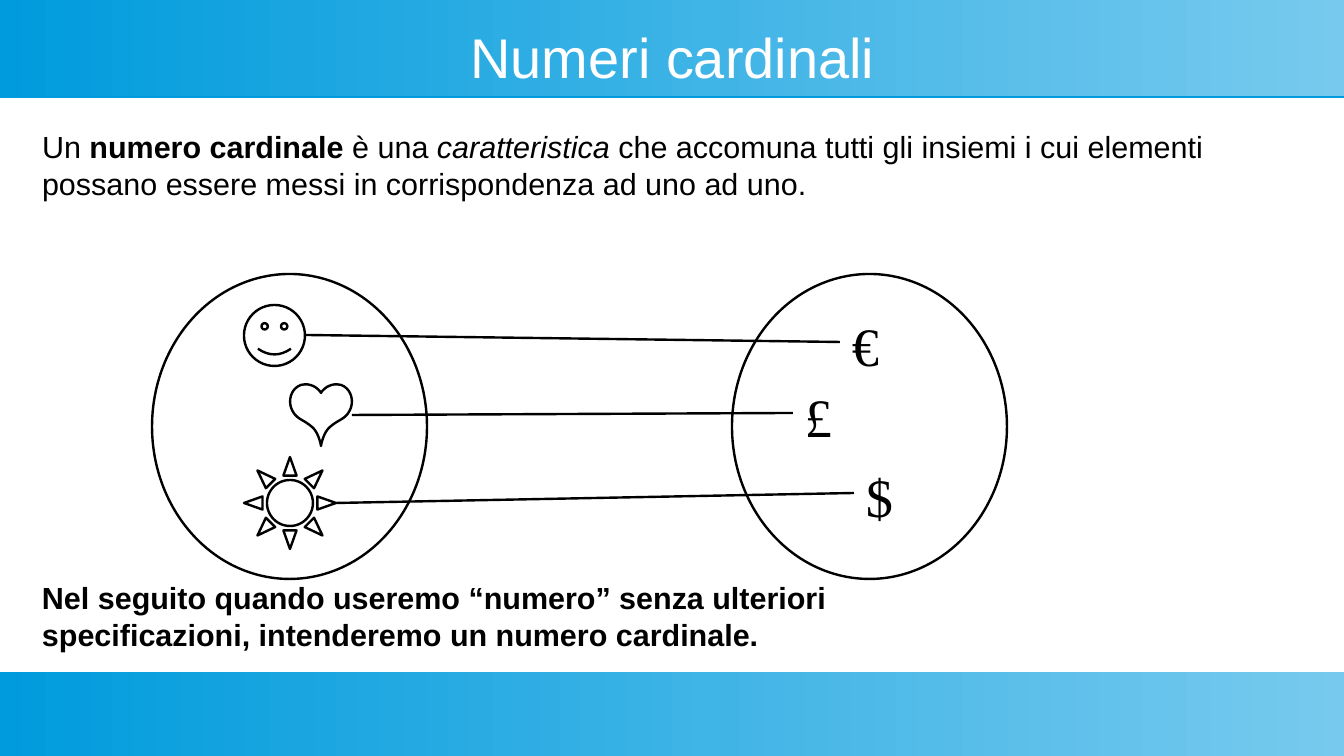
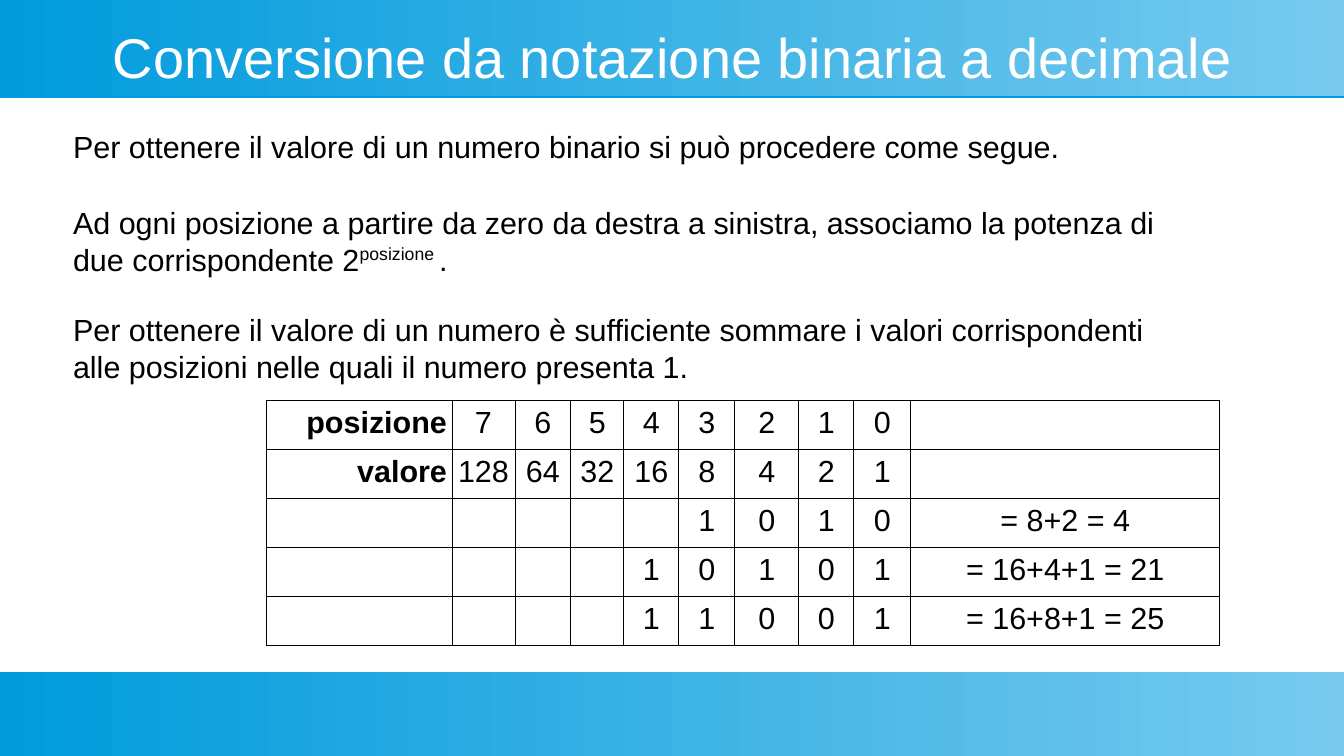
import pptx
import pptx.dml.color
import pptx.enum.shapes
import pptx.enum.text
import pptx.oxml
import pptx.oxml.ns
import pptx.util
from lxml import etree

SHAPE = pptx.enum.shapes.MSO_SHAPE
ALIGN = pptx.enum.text.PP_ALIGN
ANCHOR = pptx.enum.text.MSO_ANCHOR
qn = pptx.oxml.ns.qn

BLACK, WHITE = "000000", "FFFFFF"
BLUE, LIGHT_BLUE = "009BDD", "77CAEE"
WIDTH, HEIGHT = 1344, 756


def px(n):
    return pptx.util.Emu(round(n * 914400 / 122))


def box(*lengths):
    return [px(n) for n in lengths]


def rgb(value):
    return pptx.dml.color.RGBColor.from_string(value)


def bezier(p0, p1, p2, p3, steps=10):
    for i in range(1, steps + 1):
        t = i / steps
        u = 1 - t
        yield tuple(u**3 * a + 3 * u * u * t * b + 3 * u * t * t * c + t**3 * d
                    for a, b, c, d in zip(p0, p1, p2, p3))


class Deck:
    font = "Arial"
    text_size = 18
    title_size = 33
    line_width = 1.42

    def __init__(self):
        self.prs = pptx.Presentation()
        self.prs.slide_width, self.prs.slide_height = box(WIDTH, HEIGHT)
        self.s = None

    def slide(self, title):
        self.s = self.prs.slides.add_slide(self.prs.slide_layouts[5])
        self.band(0, 96)
        self.band(672, 84)
        sp = self.s.shapes.title
        sp.left, sp.top, sp.width, sp.height = box(48, 24, 1249, 64)
        tf = sp.text_frame
        tf.text = title
        tf.word_wrap = True
        tf.vertical_anchor = ANCHOR.MIDDLE
        tf.margin_left = tf.margin_right = tf.margin_top = tf.margin_bottom = 0
        p = tf.paragraphs[0]
        p.alignment = ALIGN.CENTER
        self.style(p.runs[0], self.title_size, color=WHITE)

    def band(self, top, height):
        sp = self.s.shapes.add_shape(SHAPE.RECTANGLE, *box(0, top, WIDTH, height))
        sp.line.fill.background()
        sp.fill.gradient()
        sp.fill.gradient_angle = 0
        for stop, color in zip(sp.fill.gradient_stops, (BLUE, LIGHT_BLUE)):
            stop.color.rgb = rgb(color)
        sp.shadow.inherit = False
        effects = sp._element.spPr.find(qn("a:effectLst"))
        shadow = etree.SubElement(effects, qn("a:outerShdw"), dist="11430", dir="5400000",
                                  algn="tl", rotWithShape="0")
        etree.SubElement(shadow, qn("a:srgbClr"), val=BLUE)
        self.s.shapes._spTree.insert(2, sp._element)

    def style(self, r, size=text_size, font=font, color=BLACK, bold=False, italic=False,
              raised=False):
        r.font.size = pptx.util.Pt(size)
        r.font.name = font
        r.font.color.rgb = rgb(color)
        r.font.bold = bold
        r.font.italic = italic
        if raised:
            r._r.get_or_add_rPr().set("baseline", "33000")

    def text(self, left, top, width, height, *runs, **common):
        sp = self.s.shapes.add_textbox(*box(left, top, width, height))
        sp.text_frame.word_wrap = True
        p = sp.text_frame.paragraphs[0]
        for text, changes in runs:
            r = p.add_run()
            r.text = text
            self.style(r, **{**common, **changes})

    def outline(self, sp):
        sp.fill.background()
        sp.line.color.rgb = rgb(BLACK)
        sp.line.width = pptx.util.Pt(self.line_width)
        sp.shadow.inherit = False

    def shape(self, kind, left, top, width, height):
        self.outline(self.s.shapes.add_shape(kind, *box(left, top, width, height)))

    def heart(self, center, top):
        curves = [
            ((0, 61), (-1, 55), (-4, 46), (-9, 42)),
            ((-9, 42), (-18, 34), (-24, 35), (-29, 25)),
            ((-29, 25), (-33, 17), (-31, 4), (-20, 0)),
            ((-20, 0), (-8, -3), (-1, 6), (0, 8)),
        ]
        left = [(0, 61)] + [point for curve in curves for point in bezier(*curve)]
        right = [(-x, y) for x, y in reversed(left[1:-1])]
        points = [box(center + x, top + y) for x, y in left + right]
        builder = self.s.shapes.build_freeform(*points[0], scale=1.0)
        builder.add_line_segments(points[1:], close=True)
        self.outline(builder.convert_to_shape())

    def line(self, *ends):
        cx = self.s.shapes.add_connector(pptx.enum.shapes.MSO_CONNECTOR.STRAIGHT, *box(*ends))
        cx.line.color.rgb = rgb(BLACK)
        cx.line.width = pptx.util.Pt(self.line_width)
        etree.SubElement(cx._element.spPr, qn("a:effectLst"))

    def borders(self, cell):
        tc_pr = cell._tc.get_or_add_tcPr()
        for i, side in enumerate(("lnL", "lnR", "lnT", "lnB")):
            ln = etree.Element(qn("a:" + side), w="7200")
            fill = etree.SubElement(ln, qn("a:solidFill"))
            etree.SubElement(fill, qn("a:srgbClr"), val=BLACK)
            tc_pr.insert(i, ln)

    def table(self, left, top, widths, row_height, rows):
        frame = self.s.shapes.add_table(
            len(rows), len(widths), *box(left, top, sum(widths), row_height * len(rows)))
        table = frame.table
        table.first_row = table.horz_banding = False
        for column, width in zip(table.columns, widths):
            column.width = px(width)
        for i, values in enumerate(rows):
            table.rows[i].height = px(row_height)
            for j, value in enumerate(values):
                cell = table.cell(i, j)
                cell.margin_left = cell.margin_right = px(5)
                cell.margin_top = cell.margin_bottom = px(6)
                cell.fill.background()
                self.borders(cell)
                if value:
                    p = cell.text_frame.paragraphs[0]
                    p.text = value
                    p.alignment = ALIGN.CENTER if j else ALIGN.RIGHT
                    self.style(p.runs[0], bold=j == 0)


def cardinals(deck):
    deck.slide("Numeri cardinali")
    deck.text(30, 122, 1250, 80,
              ("Un ", {}), ("numero cardinale", {"bold": True}), (" è una ", {}),
              ("caratteristica ", {"italic": True}),
              ("che accomuna tutti gli insiemi i cui elementi possano essere messi "
               "in corrispondenza ad uno ad uno.", {}))
    for left in (152, 732):
        deck.shape(SHAPE.OVAL, left, 274, 275, 305)
    deck.shape(SHAPE.SMILEY_FACE, 244, 305, 61, 61)
    deck.heart(321, 385)
    deck.shape(SHAPE.SUN, 244, 457, 92, 92)
    for symbol, left, top in (("€", 840, 306), ("£", 793, 377), ("$", 854, 457)):
        deck.text(left, top, 61, 72, (symbol, {}), size=32, font="Times New Roman")
    for ends in ((305, 335, 840, 342), (352, 415, 793, 413), (336, 503, 854, 493)):
        deck.line(*ends)
    deck.text(30, 573, 976, 90,
              ("Nel seguito quando useremo “numero” senza ulteriori specificazioni, "
               "intenderemo un numero cardinale.", {}), bold=True)


def conversion(deck):
    deck.slide("Conversione da notazione binaria a decimale")
    deck.text(61, 122, 1128, 46,
              ("Per ottenere il valore di un numero binario si può procedere come segue.", {}))
    deck.text(61, 198, 1128, 80,
              ("Ad ogni posizione a partire da zero da destra a sinistra, associamo la potenza "
               "di due corrispondente 2", {}),
              ("posizione ", {"raised": True}), (".", {}))
    deck.text(61, 305, 1128, 80,
              ("Per ottenere il valore di un numero è sufficiente sommare i valori "
               "corrispondenti alle posizioni nelle quali il numero presenta 1.", {}))
    positions = range(7, -1, -1)
    rows = [["posizione", *(str(n) for n in positions), ""],
            ["valore", *(str(2**n) for n in positions), ""]]
    for bits, total in (("1010", "= 8+2 = 4"), ("10101", "= 16+4+1 = 21"),
                        ("11001", "= 16+8+1 = 25")):
        rows.append(["", *[""] * (8 - len(bits)), *bits, total])
    deck.table(266, 400, [186, 63, 56, 53, 55, 56, 64, 55, 57, 309], 49, rows)


def main():
    deck = Deck()
    cardinals(deck)
    conversion(deck)
    deck.prs.save("out.pptx")


if __name__ == "__main__":
    main()
